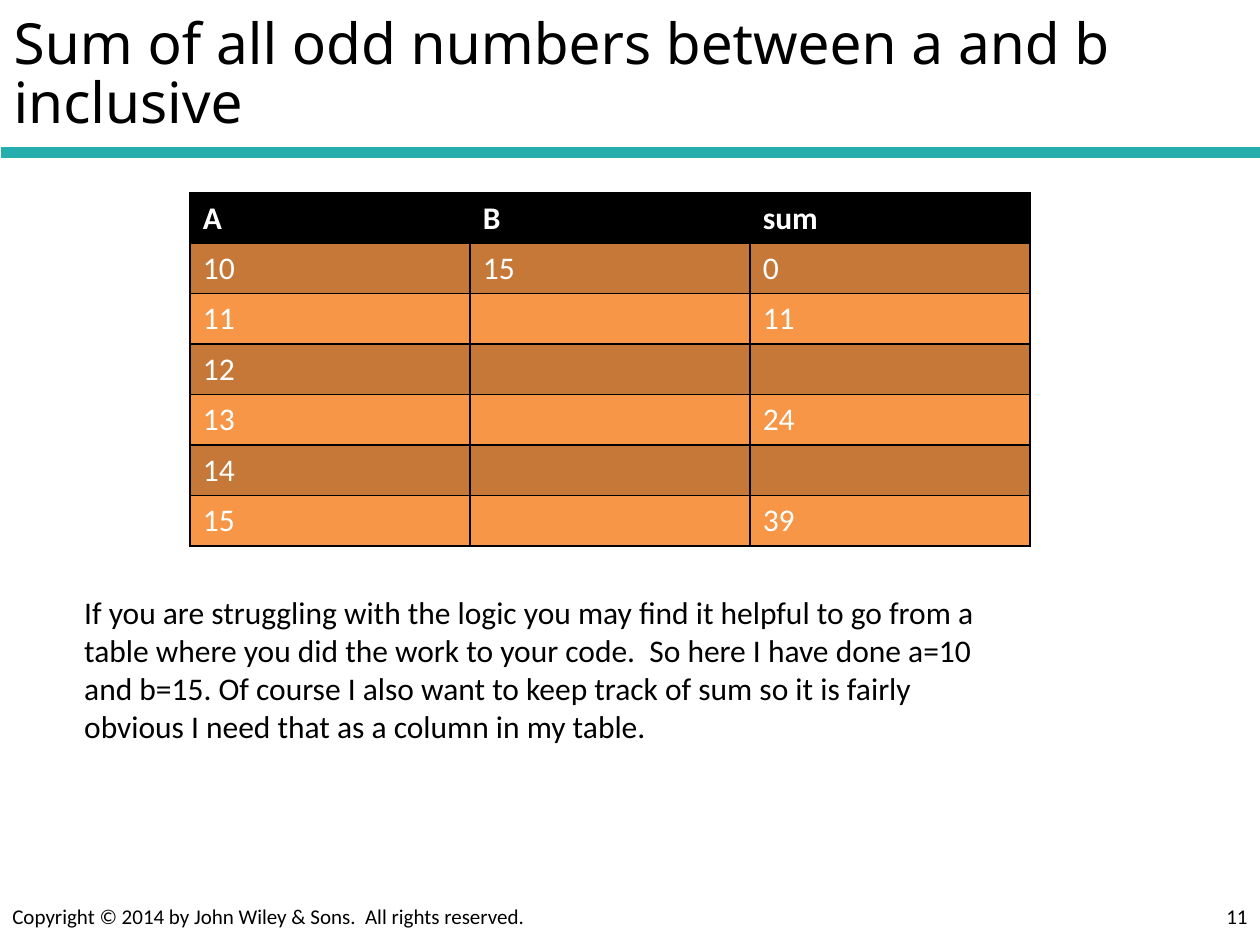
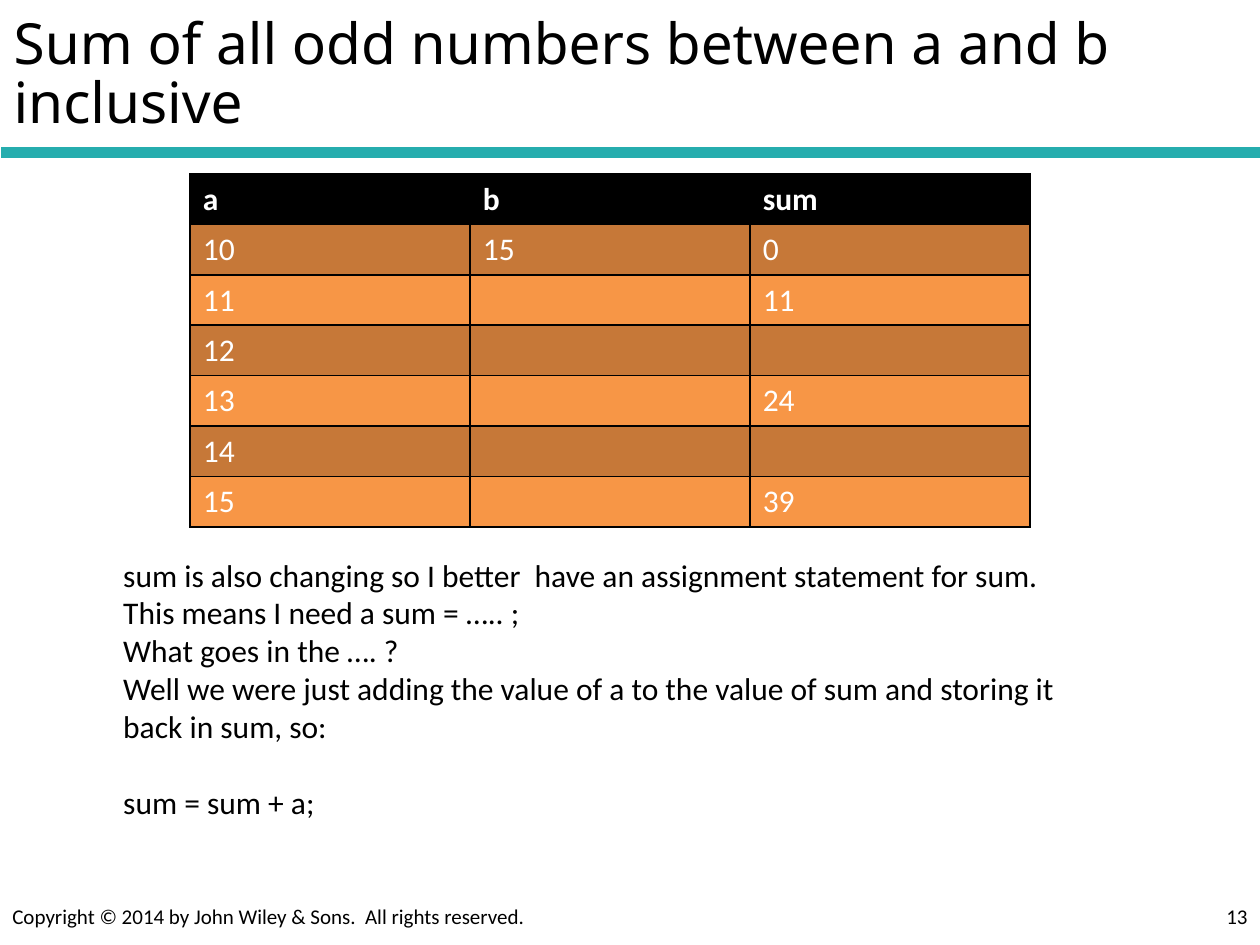
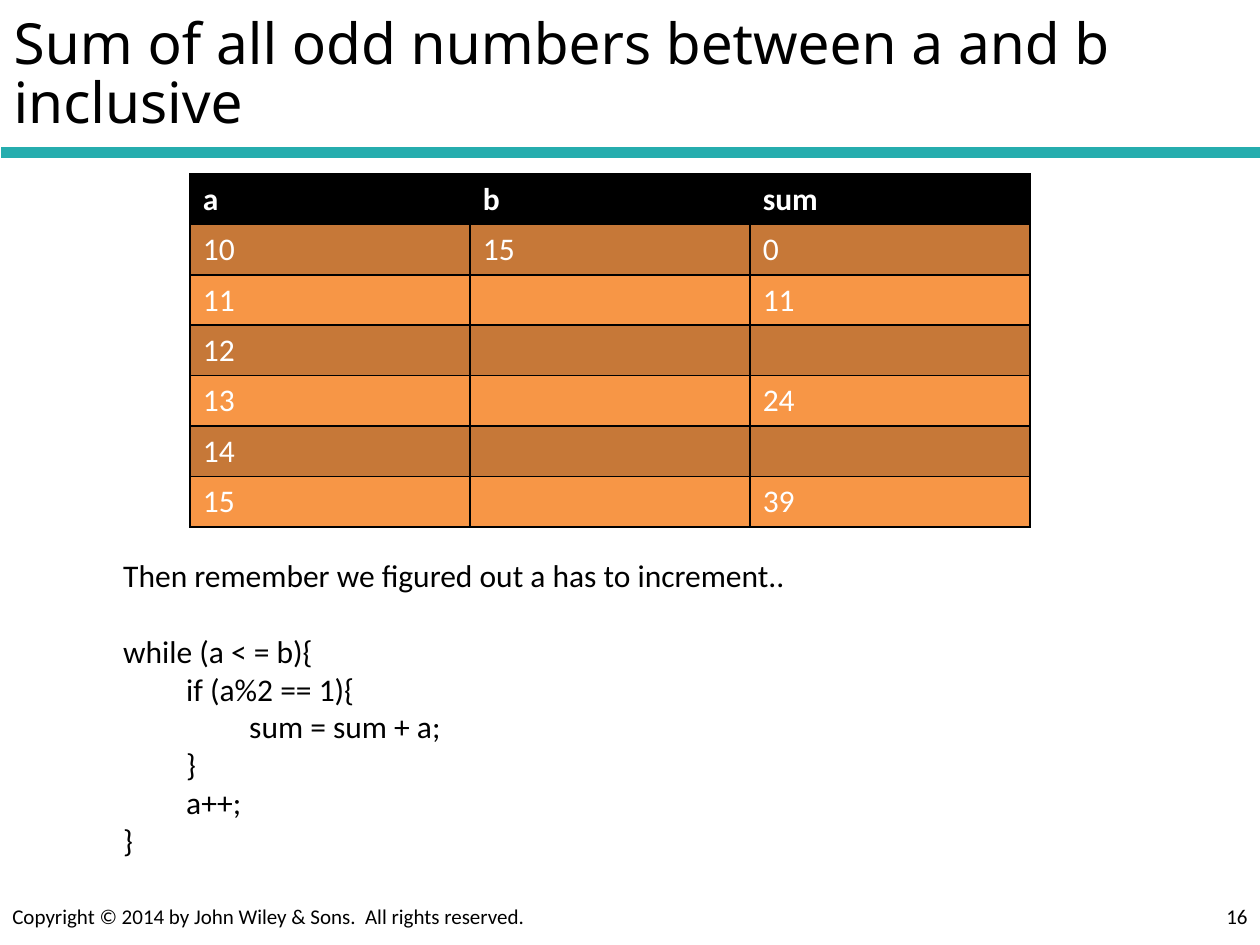
from lxml import etree
from pptx import Presentation, util as u
from pptx.dml.color import RGBColor
from pptx.enum import shapes, text
from pptx.oxml.ns import qn

COLORS = {"ink": "000000", "paper": "FFFFFF", "rule": "26ADAE",
          "dark band": "C67838", "light band": "F79646"}
BODY, HEADING = "Calibri", "Noto Sans"

deck = Presentation()
deck.slide_width, deck.slide_height = u.Inches(10), u.Inches(7.5)
W, H = deck.slide_width, deck.slide_height

# Shared measures
RULE_Y = u.Inches(1.21)
FOOTER_W, FOOTER_H = int(W * 0.427), u.Inches(0.46)
COLUMN_W, ROW_H = W * 2 // 9, u.Inches(0.4)
TABLE_X = int(W * 0.151)
NOTE_W = int(W * 0.76)
INDENT = W // 20
BLANK_LINE = u.Pt(22)


def add_run(paragraph, words, size, color="ink", font=BODY, bold=False):
    run = paragraph.add_run()
    run.text = words
    run.font.name, run.font.size, run.font.bold = font, u.Pt(size), bold
    run.font.color.rgb = RGBColor.from_string(COLORS[color])


def add_frame(slide, x, y, width, height, anchor=text.MSO_ANCHOR.MIDDLE):
    frame = slide.shapes.add_textbox(x, y, width, height).text_frame
    frame.word_wrap = True
    frame.vertical_anchor = anchor
    return frame


# Content shared by the slides
heading = "Sum of all odd numbers between a and b inclusive"
copyright_line = "Copyright © 2014 by John Wiley & Sons.  All rights reserved."
trace = [("10", "15", "0"), ("11", "", "11"), ("12", "", ""),
         ("13", "", "24"), ("14", "", ""), ("15", "", "39")]

# Each note line: indent level, blank line before it, words
pages = [
    {"number": "11", "header": ("A", "B", "sum"), "table_y": 1.53,
     "note_at": (0.57, 4.66), "note_h": 1.31,
     "note": [(0, False, "If you are struggling with the logic you may find it "
               "helpful to go from a table where you did the work to your code.  "
               "So here I have done a=10 and b=15. Of course I also want to keep "
               "track of sum so it is fairly obvious I need that as a column in "
               "my table.")]},
    {"number": "13", "header": ("a", "b", "sum"), "table_y": 1.38,
     "note_at": (0.88, 4.36), "note_h": 2.22,
     "note": [(0, False, "sum is also changing so I better  have an assignment "
               "statement for sum."),
              (0, False, "This means I need a sum = ….. ;"),
              (0, False, "What goes in the …. ?"),
              (0, False, "Well we were just adding the value of a to the value of "
               "sum and storing it back in sum, so:"),
              (0, True, "sum = sum + a;")]},
    {"number": "16", "header": ("a", "b", "sum"), "table_y": 1.38,
     "note_at": (0.88, 4.36), "note_h": 2.52,
     "note": [(0, False, "Then remember we figured out a has to increment.."),
              (0, True, "while (a < = b){"),
              (1, False, "if (a%2 == 1){"),
              (2, False, "sum = sum + a;"),
              (1, False, "}"),
              (1, False, "a++;"),
              (0, False, "}")]},
]

for page in pages:
    slide = deck.slides.add_slide(deck.slide_layouts[6])

    # Footer
    copyright_par = add_frame(slide, 0, H - FOOTER_H, FOOTER_W, FOOTER_H).paragraphs[0]
    add_run(copyright_par, copyright_line, 12)
    number_par = add_frame(slide, W - FOOTER_W, H - FOOTER_H, FOOTER_W, FOOTER_H).paragraphs[0]
    number_par.alignment = text.PP_ALIGN.RIGHT
    add_run(number_par, page["number"], 12)

    # Title and rule
    rule = slide.shapes.add_connector(shapes.MSO_CONNECTOR.STRAIGHT,
                                      u.Inches(0.01), RULE_Y, W + u.Inches(0.01), RULE_Y)
    rule.line.color.rgb = RGBColor.from_string(COLORS["rule"])
    rule.line.width = u.Pt(6)
    etree.SubElement(rule._element.spPr, qn("a:effectLst"))
    title_par = add_frame(slide, u.Inches(0.01), 0, W - u.Inches(0.01), RULE_Y).paragraphs[0]
    title_par.line_spacing = 0.87
    add_run(title_par, heading, 32.4, font=HEADING)

    # Trace table
    rows = [page["header"], *trace]
    table = slide.shapes.add_table(len(rows), 3, TABLE_X, u.Inches(page["table_y"]),
                                   3 * COLUMN_W, len(rows) * ROW_H).table
    for r, row in enumerate(rows):
        band = "ink" if r == 0 else ("light band", "dark band")[r % 2]
        for c, value in enumerate(row):
            cell = table.cell(r, c)
            cell_props = cell._tc.get_or_add_tcPr()
            for side in ("lnL", "lnR", "lnT", "lnB"):
                border = etree.SubElement(cell_props, qn(f"a:{side}"), w=str(u.Pt(1)))
                paint = etree.SubElement(border, qn("a:solidFill"))
                etree.SubElement(paint, qn("a:srgbClr"), val=COLORS["ink"])
            cell.fill.solid()
            cell.fill.fore_color.rgb = RGBColor.from_string(COLORS[band])
            if value:
                add_run(cell.text_frame.paragraphs[0], value, 18, "paper", bold=r == 0)

    # Explanation
    note_x, note_y = map(u.Inches, page["note_at"])
    note = add_frame(slide, note_x, note_y, NOTE_W, u.Inches(page["note_h"]),
                     text.MSO_ANCHOR.TOP)
    for i, (level, gap, words) in enumerate(page["note"]):
        line = note.add_paragraph() if i else note.paragraphs[0]
        if level:
            line._p.get_or_add_pPr().set("marL", str(level * INDENT))
        if gap:
            line.space_before = BLANK_LINE
        add_run(line, words, 18)

deck.save("out.pptx")
